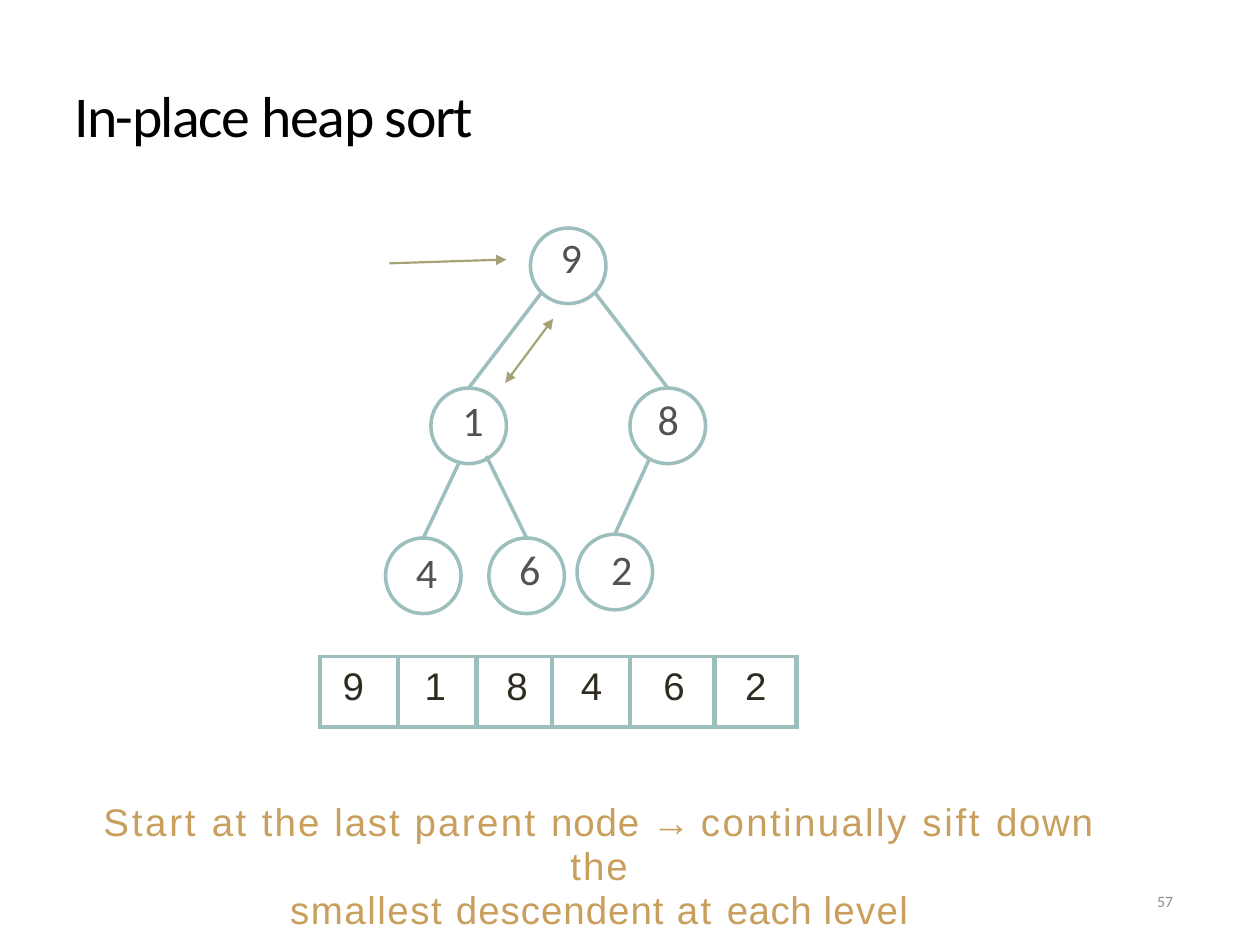
import pptx
import pptx.util
import pptx.dml.color
import pptx.enum.shapes
import pptx.enum.text
from dataclasses import dataclass
from pptx.oxml.ns import qn
from lxml import etree

Inches = pptx.util.Inches
Pt = pptx.util.Pt
ALIGN = pptx.enum.text.PP_ALIGN
ANCHOR = pptx.enum.text.MSO_ANCHOR


@dataclass(frozen=True)
class Theme:
    heading: str = "Calibri"
    body: str = "Arial"
    black: str = "000000"
    outline: str = "9CBEBD"
    node_text: str = "525252"
    cell_text: str = "2F2B20"
    arrow: str = "A6A278"
    caption: str = "C89F5D"
    number: str = "8C8C8C"
    title_size: float = 33
    node_size: float = 24
    body_size: float = 22
    number_size: float = 9
    stroke: float = 2


THEME = Theme()


def rgb(value):
    return pptx.dml.color.RGBColor.from_string(value)


def write(p, runs, *, size, color, font, align=ALIGN.LEFT, before=0, line=None, indent=0):
    """Fill a paragraph with a string or a list of (text, letter spacing) runs."""
    p.alignment = align
    p.space_before = Pt(before)
    if line:
        p.line_spacing = Pt(line)
    if indent:
        p._p.get_or_add_pPr().set("marL", str(Inches(indent)))
    for text, spacing in [(runs, 0)] if isinstance(runs, str) else runs:
        r = p.add_run()
        r.text = text
        r.font.name, r.font.size = font, Pt(size)
        r.font.color.rgb = rgb(color)
        if spacing:
            r._r.get_or_add_rPr().set("spc", str(round(spacing * 100)))


def set_frame(tf, *, top=0, anchor=ANCHOR.TOP):
    tf.word_wrap = True
    tf.margin_left = tf.margin_right = tf.margin_bottom = 0
    tf.margin_top = Inches(top)
    tf.vertical_anchor = anchor


def add_text(s, box, lines, *, top=0, anchor=ANCHOR.TOP, **style):
    tf = s.shapes.add_textbox(*map(Inches, box)).text_frame
    set_frame(tf, top=top, anchor=anchor)
    for i, runs in enumerate(lines):
        write(tf.add_paragraph() if i else tf.paragraphs[0], runs, **style)


def add_line(s, start, end, color, width, heads=()):
    sp = s.shapes.add_connector(pptx.enum.shapes.MSO_CONNECTOR.STRAIGHT,
                                *map(Inches, (*start, *end)))
    sp.line.color.rgb = rgb(color)
    sp.line.width = Pt(width)
    ln = sp.line._get_or_add_ln()
    for head in heads:
        etree.SubElement(ln, qn(f"a:{head}"), type="triangle", w="med", len="med")
    etree.SubElement(sp._element.spPr, qn("a:effectLst"))
    return sp


def add_title(s, box):
    sp = s.shapes.title
    sp.left, sp.top, sp.width, sp.height = map(Inches, box)
    set_frame(sp.text_frame, top=0.01, anchor=ANCHOR.MIDDLE)
    write(sp.text_frame.paragraphs[0], [("In-place ", -0.9), ("heap sort", -0.8)],
          size=THEME.title_size, color=THEME.black, font=THEME.heading, before=1)


def add_heap(s, box):
    x, y, _, _ = box
    d = 0.6
    # Node: left, top, then the offset of its label
    nodes = {
        "9": (1.15, 0, 0.23, 0.02),
        "1": (0.36, 1.27, 0.24, 0.04),
        "8": (1.94, 1.27, 0.21, 0.03),
        "4": (0, 2.46, 0.23, 0.06),
        "6": (0.82, 2.46, 0.23, 0.03),
        "2": (1.52, 2.43, 0.26, 0.06),
    }
    # Edge: child and the point where it leaves its parent
    edges = [("1", 1.24, 0.51), ("8", 1.66, 0.51), ("4", 0.58, 1.87),
             ("6", 0.8, 1.81), ("2", 2.1, 1.82)]
    circles = {}
    for value, (left, top, dx, dy) in nodes.items():
        sp = s.shapes.add_shape(pptx.enum.shapes.MSO_SHAPE.OVAL,
                                *map(Inches, (x + left, y + top, d, d)))
        sp.fill.background()
        sp.line.color.rgb = rgb(THEME.outline)
        sp.line.width = Pt(THEME.stroke)
        sp.shadow.inherit = False
        circles[value] = sp
        add_text(s, (x + left + dx, y + top + dy, 0.2, 0.43), [value], top=0.01,
                 size=THEME.node_size, color=THEME.node_text, font=THEME.heading,
                 before=1, indent=0.01)
    for child, left, top in edges:
        end = (x + nodes[child][0] + d / 2, y + nodes[child][1])
        edge = add_line(s, (x + left, y + top), end, THEME.outline, THEME.stroke)
        edge.end_connect(circles[child], 0)
    # Current node and the swap with its child
    add_line(s, (x + 0.03, y + 0.28), (x + 0.96, y + 0.25), THEME.arrow, 1.25, ["tailEnd"])
    add_line(s, (x + 0.95, y + 1.23), (x + 1.33, y + 0.72), THEME.arrow, 1.25,
             ["headEnd", "tailEnd"])


def add_border(cell, side, width):
    ln = etree.SubElement(cell._tc.get_or_add_tcPr(), qn(f"a:{side}"), w=str(Pt(width)))
    fill = etree.SubElement(ln, qn("a:solidFill"))
    etree.SubElement(fill, qn("a:srgbClr"), val=THEME.outline)


def add_array(s, box):
    # Value, column width, alignment, indent
    cells = [("9", 0.62, ALIGN.LEFT, 0.18), ("1", 0.62, ALIGN.LEFT, 0.21),
             ("8", 0.6, ALIGN.LEFT, 0.24), ("4", 0.62, ALIGN.CENTER, 0.01),
             ("6", 0.67, ALIGN.CENTER, 0.03), ("2", 0.65, ALIGN.CENTER, 0.01)]
    table = s.shapes.add_table(1, len(cells), *map(Inches, box)).table
    table.first_row = table.horz_banding = False
    for i, (value, width, align, indent) in enumerate(cells):
        table.columns[i].width = Inches(width)
        cell = table.cell(0, i)
        cell.margin_left = cell.margin_right = cell.margin_bottom = 0
        cell.margin_top = Inches(0.07)
        for side, stroke in (("lnL", 3 if i else 2.25), ("lnR", 3),
                             ("lnT", 2.25), ("lnB", 2.25)):
            add_border(cell, side, stroke)
        cell.fill.background()
        write(cell.text_frame.paragraphs[0], value, size=THEME.body_size,
              color=THEME.cell_text, font=THEME.body, align=align, before=5.2,
              indent=indent)


def add_caption(s, box):
    first = [("Start ", 1.6), ("at ", 1.4), ("the ", 1.2), ("last ", 1.1), ("parent ", 1.4),
             ("node ", 0.5), ("→ ", 0), ("continually ", 1.4), ("sift ", 1.6),
             ("down ", 1), ("the", 1.2)]
    second = [("smallest ", 0.9), ("descendent ", 0.6), ("at ", 1.4), ("each ", 0.3),
              ("level", 0.8)]
    add_text(s, box, [first, second], size=THEME.body_size, color=THEME.caption,
             font=THEME.body, align=ALIGN.CENTER, line=25.2)


def add_number(s, box):
    add_text(s, box, ["57"], anchor=ANCHOR.MIDDLE, size=THEME.number_size,
             color=THEME.number, font=THEME.heading, align=ALIGN.RIGHT)


def main():
    prs = pptx.Presentation()
    prs.slide_width, prs.slide_height = Inches(10), Inches(7.5)
    s = prs.slides.add_slide(prs.slide_layouts[5])
    add_title(s, (0.59, 0.51, 4.71, 0.79))
    add_heap(s, (3.06, 1.81, 2.54, 3.06))
    add_array(s, (2.54, 5.21, 3.78, 0.56))
    add_caption(s, (0.63, 6.35, 8.25, 0.75))
    add_number(s, (7.06, 6.95, 2.25, 0.4))
    prs.save("out.pptx")


if __name__ == "__main__":
    main()
